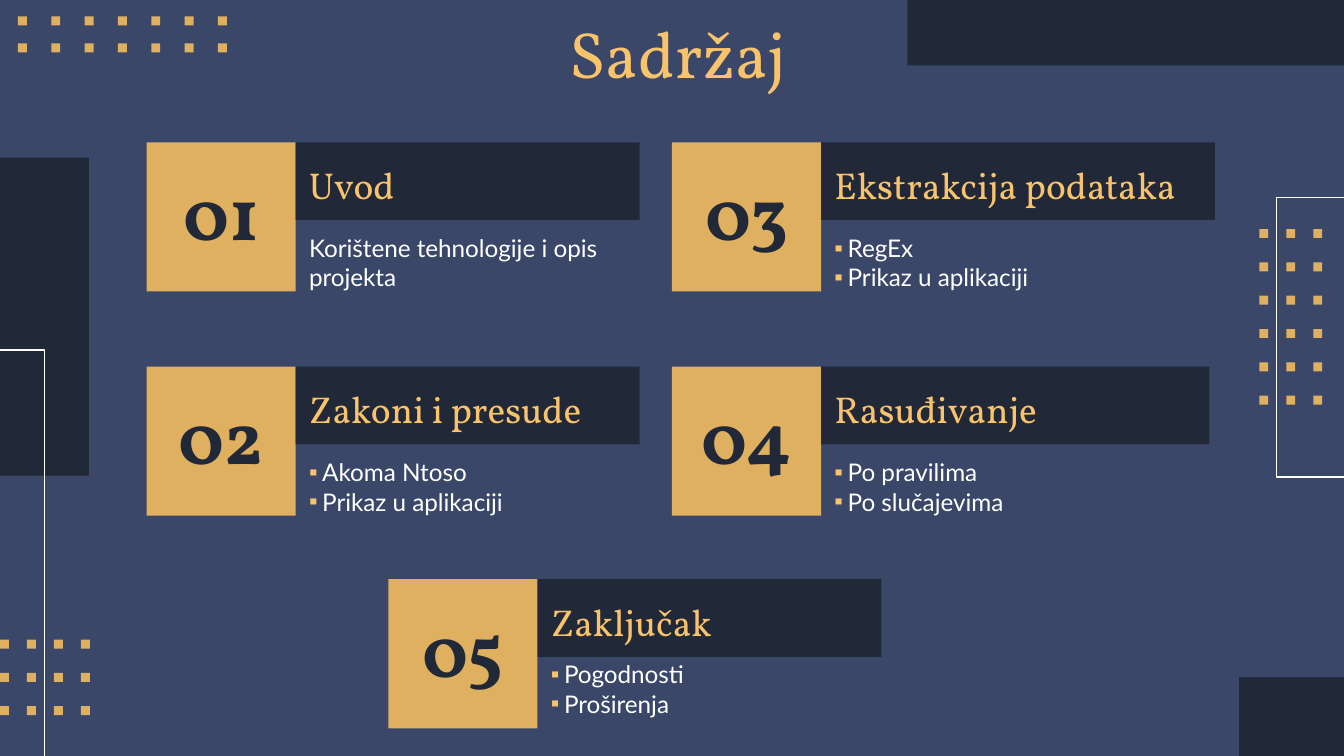
from lxml.etree import SubElement
from pptx import Presentation
from pptx.dml.color import RGBColor
from pptx.enum.shapes import MSO_SHAPE
from pptx.enum.text import MSO_ANCHOR, MSO_AUTO_SIZE, PP_ALIGN
from pptx.oxml.ns import qn
from pptx.util import Cm, Pt

BLUE = RGBColor(0x3A, 0x47, 0x69)
DARK = RGBColor(0x21, 0x28, 0x38)
GOLD = RGBColor(0xDF, 0xB0, 0x5F)
LIGHT = RGBColor(0xF8, 0xC3, 0x6A)
WHITE = RGBColor(0xFF, 0xFF, 0xFF)
SERIF, SANS = "Vollkorn", "Lato"

WIDE, HIGH = 25.4, 14.29
BOX = 2.82            # side of a number square
HEAD = 1.47           # height of a heading bar
BODY = (6.5, 1.6)     # size of a list
DOT, NEAR, FAR = 0.17, 0.51, 0.63
PAD = 0.25

# left, top, heading width, list shift, number, heading, lines, bulleted
ITEMS = [
    (2.77, 2.69, 6.5, 0, "01", "Uvod",
     ["Korištene tehnologije i opis projekta"], False),
    (2.77, 6.93, 6.5, 0, "02", "Zakoni i presude",
     ["Akoma Ntoso", "Prikaz u aplikaciji"], True),
    (12.7, 2.69, 7.44, 0, "03", "Ekstrakcija podataka",
     ["RegEx", "Prikaz u aplikaciji"], True),
    (12.7, 6.93, 7.34, 0, "04", "Rasuđivanje",
     ["Po pravilima", "Po slučajevima"], True),
    (7.34, 10.95, 6.5, -0.2, "05", "Zaključak",
     ["Pogodnosti", "Proširenja"], True),
]


class Deck:
    def __init__(self):
        self.show = Presentation()
        self.show.slide_width, self.show.slide_height = Cm(WIDE), Cm(HIGH)
        # The comparison layout has a title and four body placeholders.
        self.slide = self.show.slides.add_slide(self.show.slide_layouts[4])
        fill = self.slide.background.fill
        fill.solid()
        fill.fore_color.rgb = BLUE
        self.holds = list(self.slide.placeholders)[1:]

    def rect(self, x, y, w, h, color):
        shape = self.slide.shapes.add_shape(
            MSO_SHAPE.RECTANGLE, Cm(x), Cm(y), Cm(w), Cm(h))
        shape.shadow.inherit = False
        shape.fill.solid()
        shape.fill.fore_color.rgb = color
        shape.line.fill.background()
        return shape

    def frame(self, start, *points):
        """Draw an open white outline."""
        pen = self.slide.shapes.build_freeform(*map(Cm, start))
        pen.add_line_segments([(Cm(x), Cm(y)) for x, y in points], close=False)
        shape = pen.convert_to_shape()
        shape.shadow.inherit = False
        shape.fill.background()
        shape.line.color.rgb = WHITE
        shape.line.width = Pt(0.75)

    def dots(self, x, y, cols, rows, dx, dy):
        for col in range(cols):
            for row in range(rows):
                self.rect(x + col * dx, y + row * dy, DOT, DOT, GOLD)

    def text(self, shape, lines, font, size, color, bold=False,
             align=PP_ALIGN.LEFT, anchor=MSO_ANCHOR.TOP, pads=(PAD,) * 4):
        frame = shape.text_frame
        frame.word_wrap = True
        frame.auto_size = MSO_AUTO_SIZE.NONE
        frame.vertical_anchor = anchor
        (frame.margin_left, frame.margin_top,
         frame.margin_right, frame.margin_bottom) = map(Cm, pads)
        for i, line in enumerate(lines):
            para = frame.add_paragraph() if i else frame.paragraphs[0]
            para.alignment = align
            para.space_before = Pt(0)
            run = para.add_run()
            run.text = line
            run.font.name, run.font.size = font, Pt(size)
            run.font.bold = bold
            run.font.color.rgb = color
        return frame.paragraphs

    def place(self, shape, x, y, w, h):
        shape.left, shape.top, shape.width, shape.height = map(
            Cm, (x, y, w, h))

    def title(self, text):
        shape = self.slide.shapes.title
        self.place(shape, 2.11, 0, 21.41, 1.6)
        self.text(shape, [text], SERIF, 35, LIGHT, align=PP_ALIGN.CENTER)

    def list(self, x, y, lines, marked):
        """Fill the next body placeholder, or a text box when none is left."""
        if self.holds:
            shape = self.holds.pop(0)
            self.place(shape, x, y, *BODY)
        else:
            shape = self.slide.shapes.add_textbox(*map(Cm, (x, y, *BODY)))
        for para in self.text(shape, lines, SANS, 13, WHITE):
            self.mark(para, marked)

    def mark(self, para, marked):
        """Set the bullet and hanging indent of a paragraph."""
        props = para._p.get_or_add_pPr()
        hang = Cm(0.25) if marked else 0
        props.set("marL", str(hang))
        props.set("indent", str(-hang))
        if not marked:
            SubElement(props, qn("a:buNone"))
            return
        color = SubElement(props, qn("a:buClr"))
        SubElement(color, qn("a:srgbClr"), val=str(LIGHT))
        SubElement(props, qn("a:buFont"), typeface="Arial")
        SubElement(props, qn("a:buChar"), char="▪")

    def item(self, x, y, width, shift, number, head, lines, marked):
        box = self.rect(x, y, BOX, BOX, GOLD)
        self.text(box, [number], SERIF, 40, DARK, bold=True,
                  align=PP_ALIGN.CENTER, anchor=MSO_ANCHOR.MIDDLE,
                  pads=(0, 0, 0, PAD))
        bar = self.rect(x + BOX, y, width, HEAD, DARK)
        self.text(bar, [head], SERIF, 20, LIGHT, anchor=MSO_ANCHOR.BOTTOM)
        self.list(x + BOX, y + HEAD + shift, lines, marked)


def main():
    deck = Deck()
    deck.rect(23.42, 12.8, 1.98, 1.49, DARK)
    deck.rect(17.15, -0.18, 8.28, 1.42, DARK)
    deck.frame((25.73, 3.73), (24.13, 3.73), (24.13, 9.02), (25.73, 9.02))
    deck.dots(23.8, 4.33, 3, 6, NEAR, FAR)
    deck.rect(0, 2.98, 1.68, 6.01, DARK)
    deck.frame((0.84, HIGH), (0.84, 6.62), (0, 6.62))
    deck.dots(0.34, 0.31, 7, 2, FAR, NEAR)
    deck.dots(0, 12.09, 4, 3, NEAR, FAR)
    deck.title("Sadržaj")
    for item in ITEMS:
        deck.item(*item)
    deck.show.save("out.pptx")


if __name__ == "__main__":
    main()
